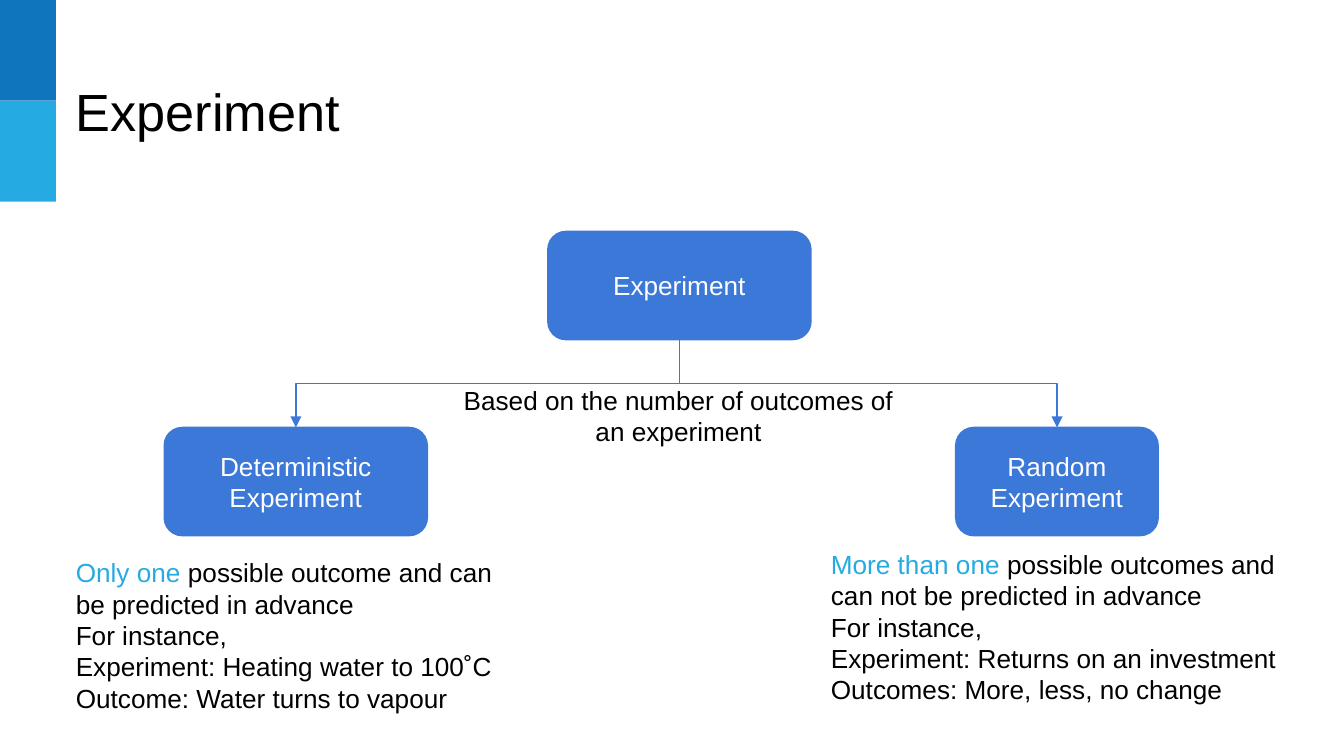
from lxml import etree
from pptx import Presentation
from pptx.dml.color import RGBColor
from pptx.enum.shapes import MSO_CONNECTOR, MSO_SHAPE
from pptx.enum.text import MSO_ANCHOR, PP_ALIGN
from pptx.oxml.ns import qn
from pptx.util import Pt

RECT, ROUND = MSO_SHAPE.RECTANGLE, MSO_SHAPE.ROUNDED_RECTANGLE
ELBOW = MSO_CONNECTOR.ELBOW
TOP, MIDDLE = MSO_ANCHOR.TOP, MSO_ANCHOR.MIDDLE
LEFT, CENTER = PP_ALIGN.LEFT, PP_ALIGN.CENTER

BLACK = RGBColor(0x00, 0x00, 0x00)
WHITE = RGBColor(0xFF, 0xFF, 0xFF)
NAVY = RGBColor(0x0F, 0x75, 0xBD)
SKY = RGBColor(0x25, 0xAA, 0xE2)
BLUE = RGBColor(0x3C, 0x78, 0xD8)

FONT = "Arial"
INSET = Pt(7.2)
BOTTOM_SITE, TOP_SITE = 2, 0


class Deck:
    """Style and current slide."""

    def __init__(self, prs):
        self.s = prs.slides.add_slide(prs.slide_layouts[6])

    def fill_text(self, sp, paragraphs, size=14, color=BLACK, align=LEFT, anchor=TOP):
        """Each paragraph is a list of (text, colour) runs or a plain string."""
        tf = sp.text_frame
        frame_format = {"word_wrap": True, "vertical_anchor": anchor,
                        "margin_left": INSET, "margin_right": INSET,
                        "margin_top": INSET, "margin_bottom": INSET}
        for name, value in frame_format.items():
            setattr(tf, name, value)
        for i, runs in enumerate(paragraphs):
            p = tf.add_paragraph() if i else tf.paragraphs[0]
            p.alignment = align
            for text, run_color in [(runs, color)] if isinstance(runs, str) else runs:
                r = p.add_run()
                r.text = text
                for name, value in {"name": FONT, "size": Pt(size)}.items():
                    setattr(r.font, name, value)
                r.font.color.rgb = run_color

    def text(self, x, y, w, h, paragraphs, **style):
        sp = self.s.shapes.add_textbox(Pt(x), Pt(y), Pt(w), Pt(h))
        self.fill_text(sp, paragraphs, **style)

    def shape(self, kind, x, y, w, h, fill):
        sp = self.s.shapes.add_shape(kind, Pt(x), Pt(y), Pt(w), Pt(h))
        sp.shadow.inherit = False
        sp.fill.solid()
        sp.fill.fore_color.rgb = fill
        sp.line.fill.background()
        return sp

    def node(self, x, y, w, label):
        sp = self.shape(ROUND, x, y, w, 58, BLUE)
        sp.line.color.rgb = BLUE
        sp.line.width = Pt(0.75)
        self.fill_text(sp, [label], color=WHITE, align=CENTER, anchor=MIDDLE)
        return sp

    def branch(self, parent, child):
        """Elbow arrow that leaves the parent downwards and enters the child from above."""
        x1, y1 = parent.left + parent.width // 2, parent.top + parent.height
        x2, y2 = child.left + child.width // 2, child.top
        c = self.s.shapes.add_connector(ELBOW, x1, y1, x2, y2)
        c.begin_connect(parent, BOTTOM_SITE)
        c.end_connect(child, TOP_SITE)
        # A quarter turn makes the first segment vertical
        span, drop = abs(x2 - x1), y2 - y1
        turned = {"left": (x1 + x2 - drop) // 2, "top": (y1 + y2 - span) // 2,
                  "width": drop, "height": span}
        for name, value in turned.items():
            setattr(c, name, value)
        spPr = c._element.spPr
        xfrm = spPr.find(qn("a:xfrm"))
        for name in ("flipH", "flipV"):
            xfrm.attrib.pop(name, None)
        xfrm.set("rot", str((90 if x2 < x1 else 270) * 60000))
        if x2 > x1:
            xfrm.set("flipH", "1")
        c.line.color.rgb = BLUE
        c.line.width = Pt(0.75)
        etree.SubElement(spPr.find(qn("a:ln")), qn("a:tailEnd"), type="triangle")
        etree.SubElement(spPr, qn("a:effectLst"))


def main():
    prs = Presentation()
    prs.slide_width, prs.slide_height = Pt(720), Pt(405)
    deck = Deck(prs)

    # Side bars and title
    for i, color in enumerate((NAVY, SKY)):
        deck.shape(RECT, 0, 54 * i, 30, 54, color)
    deck.text(33.5, 35.5, 530, 45, ["Experiment"], size=28)

    # Tree
    root = deck.node(293.5, 124, 141, "Experiment")
    children = [deck.node(88, 229, 141, "Deterministic Experiment"),
                deck.node(512, 229, 108.5, "Random Experiment")]
    for child in children:
        deck.branch(root, child)
    deck.text(232.5, 205.5, 262, 34,
              ["Based on the number of outcomes of an experiment"],
              align=CENTER, anchor=MIDDLE)

    # Explanations
    deck.text(33.5, 291, 250.5, 104, [
        [("Only one", SKY), (" possible outcome and can be predicted in advance", BLACK)],
        "For instance,",
        "Experiment: Heating water to 100˚C",
        "Outcome: Water turns to vapour"])
    deck.text(438, 286.5, 256.5, 104, [
        [("More than one", SKY),
         (" possible outcomes and can not be predicted in advance", BLACK)],
        "For instance,",
        "Experiment: Returns on an investment",
        "Outcomes: More, less, no change"])

    prs.save("out.pptx")


if __name__ == "__main__":
    main()
